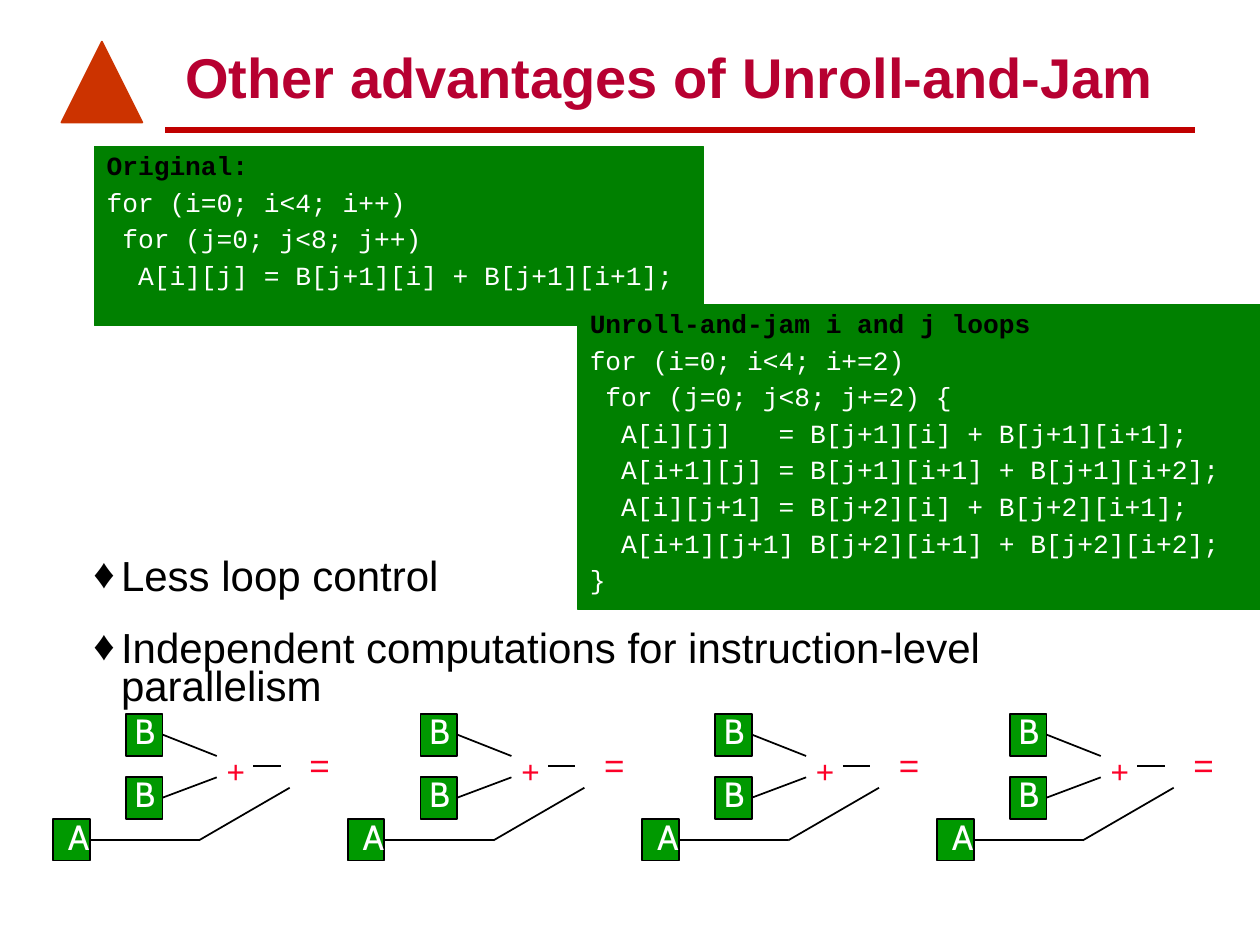
import lxml.etree
import pptx
import pptx.dml.color
import pptx.enum.shapes
import pptx.enum.text
import pptx.oxml.ns
import pptx.util
from pptx.util import Cm

COLORS = {
    "title": "B70031", "rule": "C00000", "mark": "CC3300", "panel": "008000",
    "node": "009900", "operator": "FC0128", "black": "000000", "white": "FFFFFF",
}
ORIGINAL_CODE = [
    "Original:",
    "for (i=0; i<4; i++)",
    " for (j=0; j<8; j++)",
    "  A[i][j] = B[j+1][i] + B[j+1][i+1];",
]
UNROLLED_CODE = [
    "Unroll-and-jam i and j loops",
    "for (i=0; i<4; i+=2)",
    " for (j=0; j<8; j+=2) {",
    "  A[i][j]   = B[j+1][i] + B[j+1][i+1];",
    "  A[i+1][j] = B[j+1][i+1] + B[j+1][i+2];",
    "  A[i][j+1] = B[j+2][i] + B[j+2][i+1];",
    "  A[i+1][j+1] B[j+2][i+1] + B[j+2][i+2];",
    "}",
]
ADVANTAGES = [
    "Less loop control",
    "Independent computations for instruction-level parallelism",
]
NODES = [(2.54, 14.4), (2.54, 15.67), (1.07, 16.51)]
EDGES = [
    (3.28, 14.81, 4.37, 15.24), (3.28, 16.08, 4.37, 15.67),
    (1.8, 16.94, 4.01, 16.94), (4.01, 16.94, 5.84, 15.88),
    (5.11, 15.44, 5.66, 15.44),
]
LABELS = [
    ("+", 4.32, 15.04, 0.86, 1.02, 18, "Arial", "operator"),
    ("B", 2.46, 14.17, 0.97, 1.12, 20, "Cabin", "white"),
    ("B", 2.46, 15.44, 0.97, 1.12, 20, "Cabin", "white"),
    ("A", 1.12, 16.31, 0.97, 1.12, 20, "Cabin", "white"),
    ("=", 5.99, 14.86, 0.91, 1.12, 20, "Arial", "operator"),
]
GRAPH_COUNT = 4
GRAPH_STEP = 5.94


class SlideBuilder:
    def __init__(self, slide):
        self.slide = slide
        self.shapes = slide.shapes

    def color(self, name):
        return pptx.dml.color.RGBColor.from_string(COLORS[name])

    def style(self, para, size, face, color, bold=False):
        para.alignment = pptx.enum.text.PP_ALIGN.LEFT
        para.font.size = pptx.util.Pt(size)
        para.font.name = face
        para.font.bold = bold
        para.font.color.rgb = self.color(color)

    def place(self, shape, left, top, width, height):
        shape.left, shape.top = Cm(left), Cm(top)
        shape.width, shape.height = Cm(width), Cm(height)

    def title(self, text, *bounds):
        box = self.slide.shapes.title
        self.place(box, *bounds)
        frame = box.text_frame
        frame.text = text
        frame.auto_size = pptx.enum.text.MSO_AUTO_SIZE.NONE
        frame.vertical_anchor = pptx.enum.text.MSO_ANCHOR.BOTTOM
        self.style(frame.paragraphs[0], 32, "Arial", "title", True)

    def bullets(self, items, *bounds):
        box = self.slide.placeholders[1]
        self.place(box, *bounds)
        frame = box.text_frame
        frame.text = "\n".join(items)
        frame.auto_size = pptx.enum.text.MSO_AUTO_SIZE.NONE
        frame.margin_left = frame.margin_right = Cm(0.18)
        frame.margin_top = frame.margin_bottom = Cm(0.08)
        for index, para in enumerate(frame.paragraphs):
            properties = para._p.get_or_add_pPr()
            properties.set("marL", str(Cm(0.56)))
            properties.set("indent", str(Cm(-0.56)))
            bullet_color = lxml.etree.SubElement(properties, pptx.oxml.ns.qn("a:buClr"))
            lxml.etree.SubElement(
                bullet_color, pptx.oxml.ns.qn("a:srgbClr"), val=COLORS["black"])
            lxml.etree.SubElement(properties, pptx.oxml.ns.qn("a:buChar"), char="♦")
            para.line_spacing = 0.75
            para.space_before = pptx.util.Pt(19.5 if index else 0)
            self.style(para, 24, "Arial", "black")

    def shape(self, kind, fill, line, weight, *bounds):
        shape = self.shapes.add_shape(kind, *map(Cm, bounds))
        shape.shadow.inherit = False
        shape.fill.solid()
        shape.fill.fore_color.rgb = self.color(fill)
        shape.line.color.rgb = self.color(line)
        shape.line.width = pptx.util.Pt(weight)
        return shape

    def rectangle(self, *settings):
        return self.shape(pptx.enum.shapes.MSO_SHAPE.RECTANGLE, *settings)

    def code(self, lines, *bounds):
        frame = self.rectangle("panel", "panel", 0.75, *bounds).text_frame
        frame.text = "\n".join(lines)
        frame.vertical_anchor = pptx.enum.text.MSO_ANCHOR.TOP
        for index, para in enumerate(frame.paragraphs):
            para.line_spacing = 0.9
            para.space_before = pptx.util.Pt(4.7 if index else 0)
            color = "white" if index else "black"
            self.style(para, 15, "Courier New", color, index == 0)

    def line(self, color, weight, *ends):
        connector = self.shapes.add_connector(
            pptx.enum.shapes.MSO_CONNECTOR.STRAIGHT, *map(Cm, ends))
        connector.line.color.rgb = self.color(color)
        connector.line.width = pptx.util.Pt(weight)
        lxml.etree.SubElement(connector._element.spPr, pptx.oxml.ns.qn("a:effectLst"))

    def label(self, text, left, top, width, height, size, face, color):
        box = self.shapes.add_textbox(Cm(left), Cm(top), Cm(width), Cm(height))
        frame = box.text_frame
        frame.text = text
        frame.word_wrap = False
        self.style(frame.paragraphs[0], size, face, color)

    def graph(self, offset):
        self.shapes = self.slide.shapes.add_group_shape().shapes
        for left, top in NODES:
            self.rectangle("node", "black", 1, left + offset, top, 0.74, 0.84)
        for start_x, start_y, end_x, end_y in EDGES:
            self.line("black", 1, start_x + offset, start_y, end_x + offset, end_y)
        for text, left, *rest in LABELS:
            self.label(text, left + offset, *rest)
        self.shapes = self.slide.shapes


def main():
    deck = pptx.Presentation()
    deck.slide_width, deck.slide_height = Cm(25.4), Cm(19.05)
    page = SlideBuilder(deck.slides.add_slide(deck.slide_layouts[1]))
    page.line("rule", 3, 3.33, 2.62, 24.08, 2.62)
    page.shape(pptx.enum.shapes.MSO_SHAPE.ISOSCELES_TRIANGLE,
               "mark", "mark", 1, 1.24, 0.84, 1.63, 1.63)
    page.title("Other advantages of Unroll-and-Jam", 3.48, 0.64, 20.32, 1.7)
    page.bullets(ADVANTAGES, 1.7, 11.23, 22.23, 3.12)
    page.code(ORIGINAL_CODE, 1.9, 2.96, 12.28, 3.6)
    page.code(UNROLLED_CODE, 11.64, 6.14, 13.76, 6.14)
    for index in range(GRAPH_COUNT):
        page.graph(index * GRAPH_STEP)
    deck.save("out.pptx")


if __name__ == "__main__":
    main()
